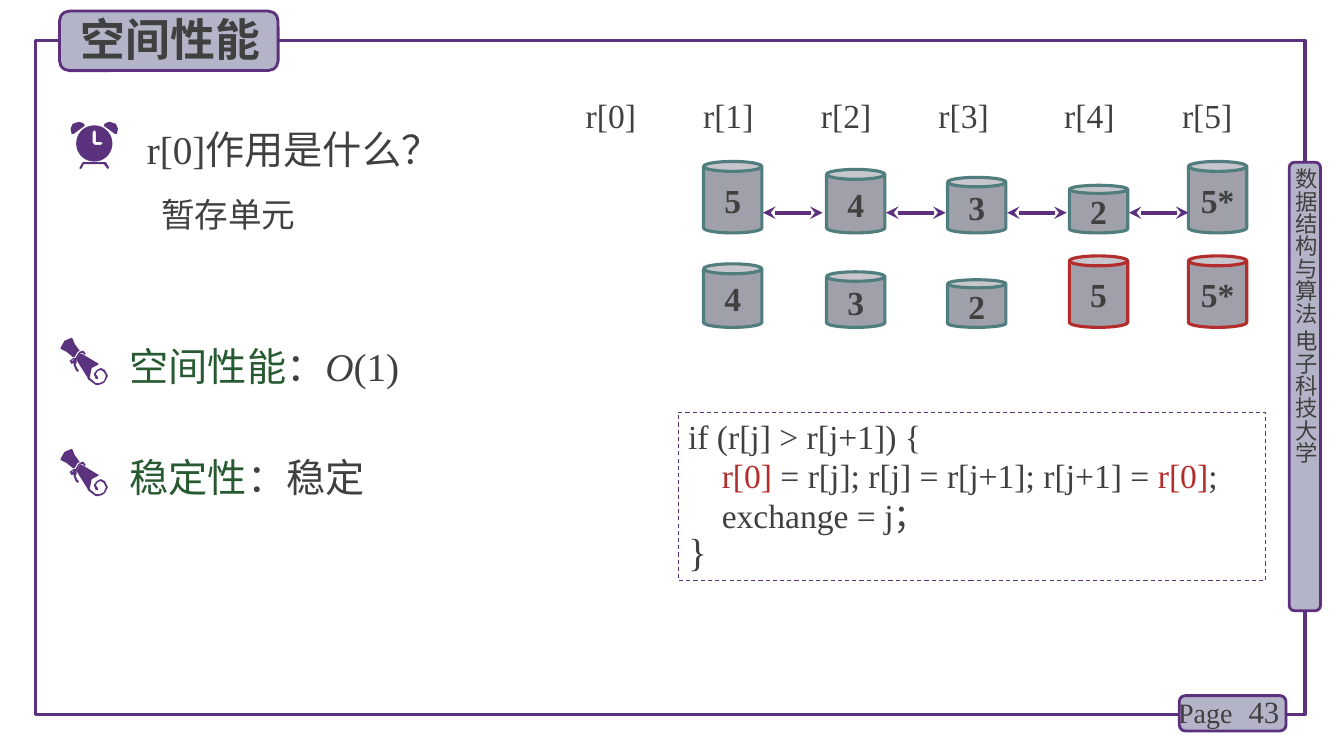
import math

from lxml import etree
from pptx import Presentation
from pptx import util as u
from pptx.dml.color import RGBColor
from pptx.enum import dml, shapes, text
from pptx.oxml.ns import qn

Cm = u.Cm
LATIN, CJK = "Times New Roman", "Noto Sans CJK SC"
PURPLE, VIOLET, LILAC = "5C307D", "5A327D", "B4B4C8"
INK, GREEN, RED, TEAL, GREY = "404040", "285A32", "B42D2D", "507D7D", "A0A0AA"
PLAIN_FRAME = dict(word_wrap=True, auto_size=text.MSO_AUTO_SIZE.NONE,
                   vertical_anchor=text.MSO_ANCHOR.TOP)
MIDDLE = dict(vertical_anchor=text.MSO_ANCHOR.MIDDLE)

# Icon outlines, in hundredths of an inch from the icon's corner
SCROLL = [
    [[(15, 19), (18, 14), (20, 13), (15, 6), (13, 1), (12, 0), (5, 3), (1, 10),
      (1, 11), (7, 14), (13, 19)]],
    [[(45, 32), (41, 30), (37, 32), (34, 36), (36, 41), (38, 41), (38, 39), (36, 36),
      (38, 33), (41, 32), (44, 34), (46, 38), (44, 43), (40, 45), (36, 45), (30, 40),
      (30, 39), (32, 30), (38, 27), (39, 26), (24, 17), (22, 16), (20, 16), (18, 20),
      (17, 22), (18, 24), (28, 40), (28, 41), (36, 47), (38, 47), (42, 46), (45, 44),
      (48, 38)]],
    [[(18, 34), (17, 33), (16, 32), (14, 27), (14, 26), (15, 25), (12, 26), (10, 23),
      (14, 20), (16, 20), (19, 15), (22, 13), (24, 13), (26, 16), (25, 17), (24, 16),
      (23, 15), (20, 16), (18, 20), (17, 22), (17, 25), (16, 27), (18, 31), (19, 32),
      (19, 33)],
     [(14, 21), (12, 23), (12, 24), (14, 22)]],
]
EAR = [(8, 0), (2, 2), (0, 7), (1, 12), (3, 12), (14, 4), (14, 3), (12, 1)]
FACE = [(23.5 + 18 * math.cos(math.radians(a)), 21.5 + 18 * math.sin(math.radians(a)))
        for a in range(0, 360, 10)]
HANDS = [(30, 23), (24, 23), (22, 21), (22, 10), (24, 8), (25, 10), (25, 20), (30, 20),
         (32, 21)]
LEGS = [(38, 45), (35, 40), (12, 40), (9, 45), (9, 47), (11, 46), (13, 42), (33, 42),
        (36, 46), (37, 47)]
CLOCK = [[LEGS], [EAR], [[(47 - x, y) for x, y in EAR]], [FACE, HANDS]]


def rgb(value):
    return RGBColor.from_string(value)


def apply(target, values):
    for name, value in values.items():
        setattr(target, name, value)


def add_run(p, words, size, color=INK, latin=LATIN, **font):
    r = p.add_run()
    r.text = words
    apply(r.font, dict(font, size=u.Pt(size), name=latin))
    r.font.color.rgb = rgb(color)
    etree.SubElement(r.font._element, qn("a:ea"), typeface=CJK)


def write(tf, paragraphs, frame=None, **para):
    """Each paragraph is a list of (words, size, colour) runs, with optional font values."""
    apply(tf, {**PLAIN_FRAME, **(frame or {})})
    for i, runs in enumerate(paragraphs):
        p = tf.paragraphs[0] if i == 0 else tf.add_paragraph()
        apply(p, para)
        for words, size, color, *font in runs:
            add_run(p, words, size, color, **(font[0] if font else {}))


def text_box(s, box, runs, frame=None, **para):
    sp = s.shapes.add_textbox(*map(Cm, box))
    write(sp.text_frame, [runs], frame, **para)
    return sp.text_frame


def shape(s, kind, box, fill, line, width):
    sp = s.shapes.add_shape(kind, *map(Cm, box))
    sp.shadow.inherit = False
    if fill:
        sp.fill.solid()
        sp.fill.fore_color.rgb = rgb(fill)
    else:
        sp.fill.background()
    sp.line.color.rgb = rgb(line)
    sp.line.width = u.Pt(width)
    return sp


def can(s, label, left, bottom, line):
    height = 0.8 + 0.2 * int(label[0])
    sp = shape(s, shapes.MSO_SHAPE.CAN, (left, bottom - height, 1.47, height), GREY, line, 2.25)
    sp.adjustments[0] = 0.17
    write(sp.text_frame, [[(label, 24, INK, dict(bold=True))]],
          dict(MIDDLE, word_wrap=False), alignment=text.PP_ALIGN.CENTER)


def double_arrow(s, x, y, length):
    c = s.shapes.add_connector(shapes.MSO_CONNECTOR.STRAIGHT, Cm(x), Cm(y), Cm(x + length), Cm(y))
    c.line.color.rgb = rgb(PURPLE)
    c.line.width = u.Pt(3)
    ln = c.line._get_or_add_ln()
    for end in ("a:headEnd", "a:tailEnd"):
        etree.SubElement(ln, qn(end), type="stealth")
    etree.SubElement(c._element.spPr, qn("a:effectLst"))


def icon(s, parts, left, top):
    group = s.shapes.add_group_shape()
    for outlines in parts:
        builder = None
        for outline in outlines:
            points = [(10 * x, 10 * y) for x, y in outline]
            if builder is None:
                builder = group.shapes.build_freeform(*points[0], scale=Cm(2.54) / 1000)
            else:
                builder.move_to(*points[0])
            builder.add_line_segments(points[1:], close=True)
        sp = builder.convert_to_shape(Cm(left), Cm(top))
        sp.shadow.inherit = False
        sp.fill.solid()
        sp.fill.fore_color.rgb = rgb(VIOLET)
        sp.line.fill.background()


def page_frame(s):
    rounded = shapes.MSO_SHAPE.ROUNDED_RECTANGLE
    shape(s, shapes.MSO_SHAPE.RECTANGLE, (0.89, 1.02, 32, 16.99), None, VIOLET, 2.25)
    for box in [(32.49, 4.09, 0.79, 11.3), (29.72, 17.53, 2.69, 0.89), (1.5, 0.28, 5.51, 1.5)]:
        shape(s, rounded, box, LILAC, PURPLE, 2)
    margins = dict.fromkeys(("margin_left", "margin_top", "margin_right", "margin_bottom"), 0)
    side = text_box(s, (32.56, 4.24, 0.69, 11.4),
                    [("数据结构与算法 电子科技大学", 16, INK, dict(latin=CJK))], margins)
    side._txBody.bodyPr.set("vert", "eaVert")
    text_box(s, (30.15, 17.42, 2.34, 1.02), [("43", 22, INK)], MIDDLE,
             alignment=text.PP_ALIGN.RIGHT)
    text_box(s, (29.44, 17.4, 3.25, 1.12), [("Page", 20, INK)])


def title(s, words):
    sp = s.shapes.title
    apply(sp, dict(zip(("left", "top", "width", "height"), map(Cm, (1.78, 0.18, 5.33, 1.63)))))
    write(sp.text_frame, [[(words, 32, INK, dict(latin=CJK, bold=True))]],
          alignment=text.PP_ALIGN.LEFT)
    sp.element.getparent().append(sp.element)  # in front of its plate


def notes_column(s):
    icon(s, CLOCK, 1.78, 3.07)
    icon(s, SCROLL, 1.5, 8.51)
    icon(s, SCROLL, 1.5, 11.31)
    for box, runs in [
        ((3.2, 2.67, 10.8, 1.8), [("r[0]作用是什么？", 28, INK)]),
        ((3.56, 4.47, 8.18, 1.6), [("暂存单元", 24, INK)]),
        ((2.77, 8.15, 10.8, 1.8), [("空间性能", 28, GREEN), ("：", 28, INK),
                                   ("O", 28, INK, dict(italic=True)), ("(1)", 28, INK)]),
        ((2.77, 10.95, 10.8, 1.8), [("稳定性", 28, GREEN), ("：稳定", 28, INK)]),
    ]:
        text_box(s, box, runs, dict(margin_left=Cm(0.5)), line_spacing=1.3)


def exchange_diagram(s):
    # Array labels on tab stops
    labels = "\t".join(f"r[{i}]" for i in range(6))
    tf = text_box(s, (14.3, 1.96, 17.63, 1.6), [(labels, 24, INK)],
                  dict(margin_left=Cm(0.46)), line_spacing=1.3)
    tabs = etree.SubElement(tf.paragraphs[0]._p.get_or_add_pPr(), qn("a:tabLst"))
    for stop in (2.96, 5.93, 8.89, 12.06, 15.03):
        etree.SubElement(tabs, qn("a:tab"), pos=str(Cm(stop)), algn="l")

    # Values before and after the pass; red ones are settled
    columns = (17.73, 20.83, 23.88, 26.95, 29.95)
    for bottom, values, settled in [(5.87, "5 4 3 2 5*", 0), (8.25, "4 3 2 5 5*", 2)]:
        for i, (left, label) in enumerate(zip(columns, values.split())):
            can(s, label, left, bottom, RED if i >= len(columns) - settled else TEAL)
    for left in columns[:-1]:
        double_arrow(s, left + 1.5, 5.36, 1.5)


def code_box(s):
    sp = shape(s, shapes.MSO_SHAPE.RECTANGLE, (17.09, 10.39, 14.81, 4.24), None, PURPLE, 0.75)
    sp.line.dash_style = dml.MSO_LINE.DASH
    write(sp.text_frame, [
        [("if (r[j] > r[j+1]) {", 24, INK)],
        [("r[0]", 24, RED), (" = r[j]; r[j] = r[j+1]; r[j+1] = ", 24, INK),
         ("r[0]", 24, RED), (";", 24, INK)],
        [("exchange = j；", 24, INK)],
        [("}", 28, INK)],
    ], line_spacing=u.Pt(28), alignment=text.PP_ALIGN.LEFT)
    for p in sp.text_frame.paragraphs[1:3]:
        p._p.get_or_add_pPr().set("marL", str(Cm(0.85)))


def main():
    prs = Presentation()
    prs.slide_width, prs.slide_height = Cm(33.87), Cm(19.05)
    s = prs.slides.add_slide(prs.slide_layouts[5])
    page_frame(s)
    title(s, "空间性能")
    notes_column(s)
    exchange_diagram(s)
    code_box(s)
    prs.save("out.pptx")


if __name__ == "__main__":
    main()
